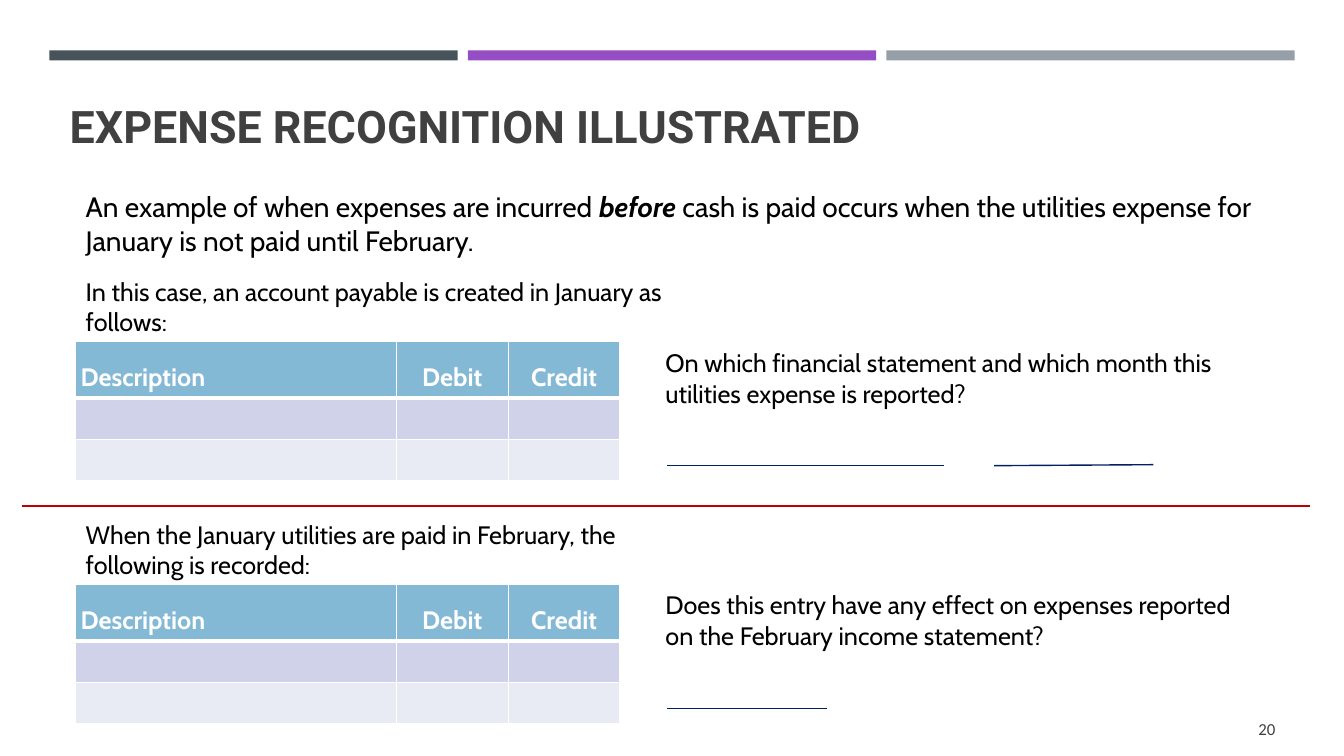
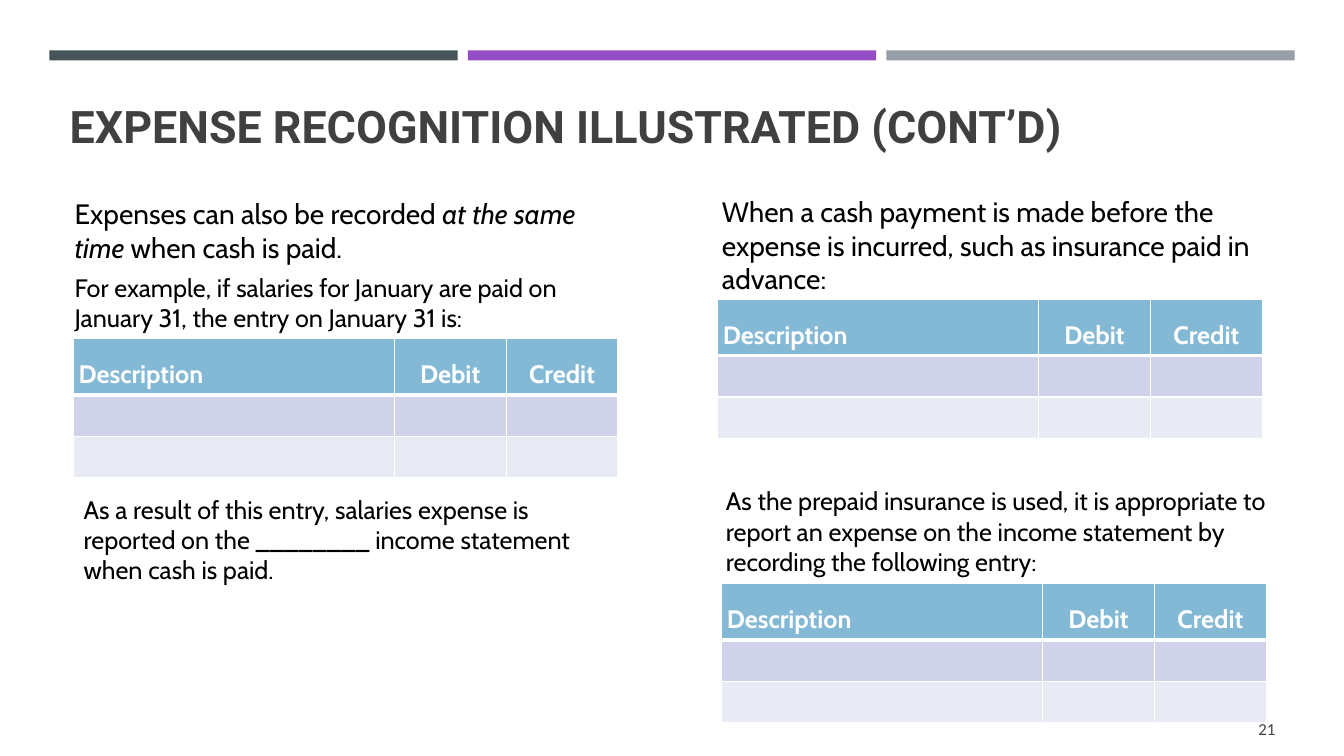
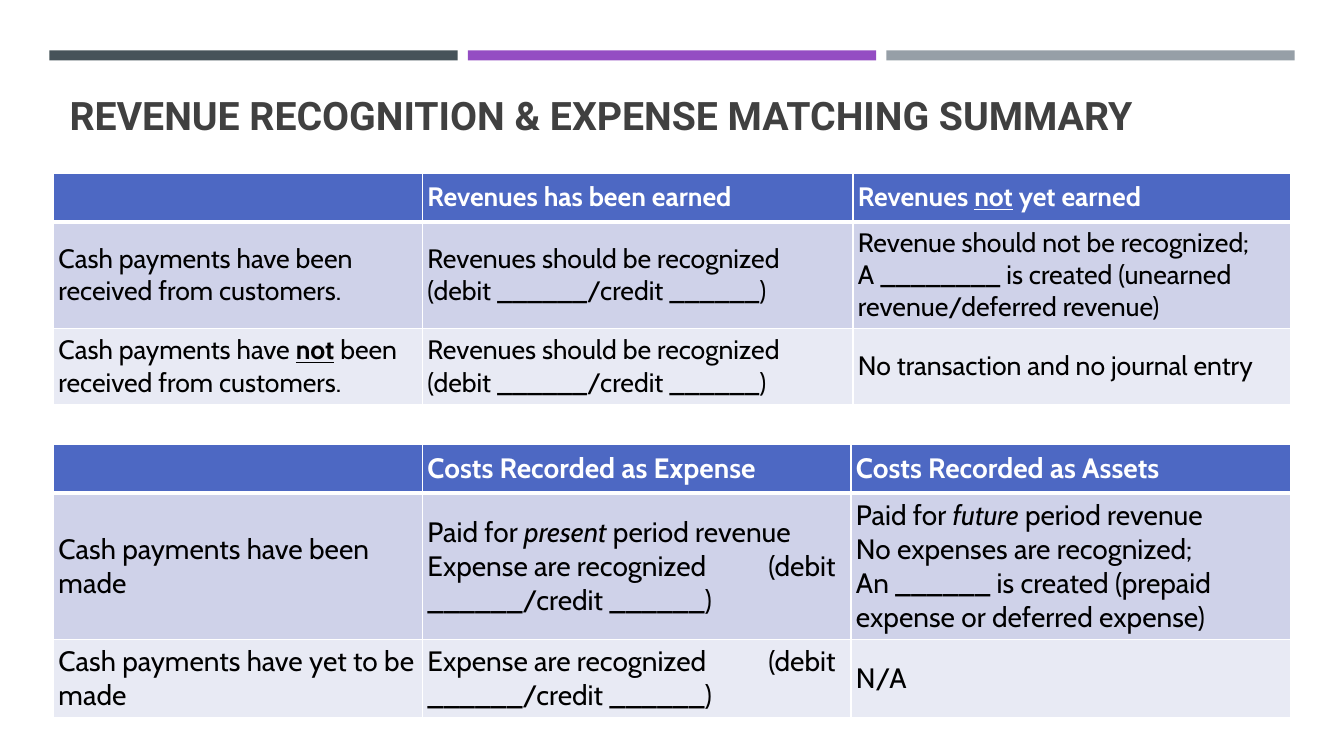
from lxml import etree
from pptx import Presentation
from pptx.dml.color import RGBColor
from pptx.enum.shapes import MSO_CONNECTOR, MSO_SHAPE
from pptx.enum.text import MSO_ANCHOR, MSO_AUTO_SIZE, PP_ALIGN
from pptx.oxml.ns import qn
from pptx.util import Emu, Pt

LEFT, CENTER, RIGHT = PP_ALIGN.LEFT, PP_ALIGN.CENTER, PP_ALIGN.RIGHT
TOP, MIDDLE = MSO_ANCHOR.TOP, MSO_ANCHOR.MIDDLE
FIT_SHAPE, NO_FIT = MSO_AUTO_SIZE.SHAPE_TO_FIT_TEXT, MSO_AUTO_SIZE.NONE
STRAIGHT, RECTANGLE = MSO_CONNECTOR.STRAIGHT, MSO_SHAPE.RECTANGLE

EMU_PER_PX = 9144
SLIDE_SIZE = (1333, 750)
MARGIN = 5

WHITE, BLACK, DARK = "FFFFFF", "000000", "404040"
NAVY, RED = "002060", "C00000"
ENTRY_HEADER, SUMMARY_HEADER = "84B9D6", "4D68C3"
BODY_FILLS = ("CFD2E9", "E8EAF4")
TITLE_FONT, BODY_FONT, NUMBER_FONT = "Roboto", "Cabin", "Calibri"

BAND_COLORS = ("465359", "944DC3", "969FA7")
BAND_LEFT, BAND_TOP, BAND_WIDTH, BAND_HEIGHT, BAND_PITCH = 49, 50, 405, 10, 415
NUMBER_BOX = (1240, 708, 30, 29)
TAB_STOP = 338

ENTRY_COLUMNS, ENTRY_ROWS = (318, 111, 111), (54, 41, 41)
ENTRY_CELLS = [["Description", "Debit", "Credit"], ["", "", ""], ["", "", ""]]

REVENUE_ENTRY = "Revenues should be recognized (debit ______/credit ______)"
EXPENSE_ENTRY = "Expense are recognized\t(debit ______/credit ______)"

SLIDES = [
    {
        "title": "EXPENSE RECOGNITION ILLUSTRATED",
        "title_box": (64, 60, 1206, 130), "title_size": 32, "number": "20",
        "entry_tables": [(75, 339), (75, 580)],
        "texts": [
            ((80, 183, 1174, 77), [(20, [
                "An example of when expenses are incurred ", ("before", "bi"),
                " cash is paid occurs when the utilities expense for January is not paid until February."])]),
            ((80, 269, 588, 71), [(18, [
                "In this case, an account payable is created in January as follows:"])]),
            ((655, 340, 573, 71), [(18, [
                "On which financial statement and which month this utilities expense is reported?"])]),
            ((80, 510, 588, 71), [(18, [
                "When the January utilities are paid in February, the following is recorded:"])]),
            ((655, 580, 573, 71), [(18, [
                "Does this entry have any effect on expenses reported on the February income statement?"])]),
        ],
        "lines": [
            (662, 462, 936, 462, NAVY),
            (986, 462, 1144, 461, NAVY),
            (662, 703, 820, 703, NAVY),
            (22, 502, 1299, 502, RED),
        ],
    },
    {
        "title": "EXPENSE RECOGNITION ILLUSTRATED (CONT’D)",
        "title_box": (64, 60, 1206, 130), "title_size": 32, "number": "21",
        "entry_tables": [(73, 336), (712, 297), (716, 579)],
        "texts": [
            ((69, 190, 553, 146), [
                (20, ["Expenses can also be recorded ", ("at the same time", "i"),
                      " when cash is paid."]),
                (18, ["For example, if salaries for January are paid on January 31, "
                      "the entry on January 31 is:"])]),
            ((711, 188, 577, 110), [(20, [
                "When a cash payment is made before the expense is incurred, "
                "such as insurance paid in advance:"])]),
            ((715, 477, 553, 102), [(18, [
                "As the prepaid insurance is used, it is appropriate to report an expense "
                "on the income statement by recording the following entry:"])]),
            ((78, 485, 535, 102), [(18, [
                "As a result of this entry, salaries expense is reported on the ________ "
                "income statement when cash is paid."])]),
        ],
    },
    {
        "title": "REVENUE RECOGNITION & EXPENSE MATCHING SUMMARY",
        "title_box": (64, 63, 1206, 102), "title_size": 28,
        "summary_tables": [
            {
                "origin": (53, 172), "size": 19,
                "columns": (366, 427, 434), "rows": (48, 104, 75),
                "cells": [
                    ["", "Revenues has been earned",
                     [["Revenues ", ("not", "u"), " yet earned"]]],
                    ["Cash payments have been received from customers.", REVENUE_ENTRY,
                     [["Revenue should not be recognized;", "\n",
                       "A ________ is created (unearned revenue/deferred revenue)"]]],
                    [[["Cash payments have ", ("not", "bu"), " been received from customers."]],
                     REVENUE_ENTRY, "No transaction and no journal entry"],
                ],
            },
            {
                "origin": (53, 441), "size": 20,
                "columns": (366, 425, 436), "rows": (48, 145, 77),
                "cells": [
                    ["", "Costs Recorded as Expense", "Costs Recorded as Assets"],
                    ["Cash payments have been made",
                     [["Paid for ", ("present", "i"), " period revenue"], [EXPENSE_ENTRY]],
                     [["Paid for ", ("future", "i"), " period revenue"],
                      ["No expenses are recognized;"],
                      ["An ______ is created (prepaid expense or deferred expense)"]]],
                    ["Cash payments have yet to be made", EXPENSE_ENTRY, "N/A"],
                ],
            },
        ],
    },
]


def px(value):
    return Emu(value * EMU_PER_PX)


def color(value):
    return RGBColor.from_string(value)


def set_margins(target):
    target.margin_left = target.margin_right = px(MARGIN)
    target.margin_top = target.margin_bottom = px(MARGIN)


def add_tab_stop(paragraph):
    properties = paragraph._p.get_or_add_pPr()
    tabs = etree.SubElement(properties, qn("a:tabLst"))
    etree.SubElement(tabs, qn("a:tab"), pos=str(px(TAB_STOP)), algn="l")


def write_paragraph(paragraph, runs, size, ink=BLACK, font=BODY_FONT, bold=False, align=LEFT):
    paragraph.alignment = align
    for item in runs:
        text, style = (item, "") if isinstance(item, str) else item
        if text == "\n":
            paragraph.add_line_break()
            continue
        if "\t" in text:
            add_tab_stop(paragraph)
        run = paragraph.add_run()
        run.text = text
        run.font.name = font
        run.font.size = Pt(size)
        run.font.color.rgb = color(ink)
        run.font.bold = bold or "b" in style
        run.font.italic = "i" in style
        run.font.underline = "u" in style


def paragraphs_for(text_frame, count):
    return [text_frame.paragraphs[0]] + [text_frame.add_paragraph() for _ in range(count - 1)]


def add_text(slide, box, content, wrap=True, anchor=TOP, **style):
    text_frame = slide.shapes.add_textbox(*map(px, box)).text_frame
    text_frame.word_wrap = wrap
    text_frame.auto_size = FIT_SHAPE
    text_frame.vertical_anchor = anchor
    set_margins(text_frame)
    paragraphs = paragraphs_for(text_frame, len(content))
    for index, (paragraph, (size, runs)) in enumerate(zip(paragraphs, content)):
        if index:
            paragraph.space_before = Pt(6)
        write_paragraph(paragraph, runs, size, **style)


def set_title(slide, text, box, size):
    title = slide.shapes.title
    title.left, title.top, title.width, title.height = map(px, box)
    text_frame = title.text_frame
    text_frame.auto_size = NO_FIT
    text_frame.word_wrap = True
    text_frame.vertical_anchor = MIDDLE
    set_margins(text_frame)
    write_paragraph(text_frame.paragraphs[0], [text], size, DARK, TITLE_FONT, True)


def set_borders(cell, row):
    properties = cell._tc.get_or_add_tcPr()
    widths = {"L": 1, "R": 1, "T": 3 if row == 1 else 1, "B": 3 if row == 0 else 1}
    for side, width in widths.items():
        line = etree.SubElement(properties, qn("a:ln" + side), w=str(Pt(width)))
        fill = etree.SubElement(line, qn("a:solidFill"))
        etree.SubElement(fill, qn("a:srgbClr"), val=WHITE)


def add_table(slide, origin, columns, rows, cells, size, header_fill, anchor, entry=False):
    box = (*origin, sum(columns), sum(rows))
    table = slide.shapes.add_table(len(rows), len(columns), *map(px, box)).table
    for column, width in zip(table.columns, columns):
        column.width = px(width)
    for row, height in zip(table.rows, rows):
        row.height = px(height)
    for row_index, row_cells in enumerate(cells):
        header = row_index == 0
        fill = header_fill if header else BODY_FILLS[row_index - 1]
        for column_index, content in enumerate(row_cells):
            cell = table.cell(row_index, column_index)
            set_margins(cell)
            cell.vertical_anchor = anchor
            set_borders(cell, row_index)
            cell.fill.solid()
            cell.fill.fore_color.rgb = color(fill)
            if not content:
                continue
            content = [[content]] if isinstance(content, str) else content
            for paragraph, runs in zip(paragraphs_for(cell.text_frame, len(content)), content):
                if entry:
                    paragraph.line_spacing = 1.5
                write_paragraph(paragraph, runs, size, WHITE if header else BLACK, bold=header,
                                align=CENTER if entry and column_index else LEFT)


def add_line(slide, x1, y1, x2, y2, ink):
    line = slide.shapes.add_connector(STRAIGHT, px(x1), px(y1), px(x2), px(y2))
    line.line.color.rgb = color(ink)
    line.line.width = Pt(1)
    etree.SubElement(line.element.spPr, qn("a:effectLst"))


def add_bands(slide, layout):
    for index, fill in enumerate(BAND_COLORS):
        box = (BAND_LEFT + index * BAND_PITCH, BAND_TOP, BAND_WIDTH, BAND_HEIGHT)
        band = slide.shapes.add_shape(RECTANGLE, *map(px, box))
        band.shadow.inherit = False
        band.fill.solid()
        band.fill.fore_color.rgb = color(fill)
        band.line.fill.background()
        layout.shapes.element.append(band.element)


def main():
    presentation = Presentation()
    presentation.slide_width, presentation.slide_height = map(px, SLIDE_SIZE)
    layout = presentation.slide_layouts[5]
    for content in SLIDES:
        slide = presentation.slides.add_slide(layout)
        set_title(slide, content["title"], content["title_box"], content["title_size"])
        for origin in content.get("entry_tables", []):
            add_table(slide, origin, ENTRY_COLUMNS, ENTRY_ROWS, ENTRY_CELLS, 18,
                      ENTRY_HEADER, TOP, entry=True)
        for table in content.get("summary_tables", []):
            add_table(slide, **table, header_fill=SUMMARY_HEADER, anchor=MIDDLE)
        for box, paragraphs in content.get("texts", []):
            add_text(slide, box, paragraphs)
        for line in content.get("lines", []):
            add_line(slide, *line)
        if "number" in content:
            add_text(slide, NUMBER_BOX, [(12, [content["number"]])], wrap=False, anchor=MIDDLE,
                     ink=DARK, font=NUMBER_FONT, align=RIGHT)
    add_bands(presentation.slides[0], layout)
    presentation.save("out.pptx")


if __name__ == "__main__":
    main()
